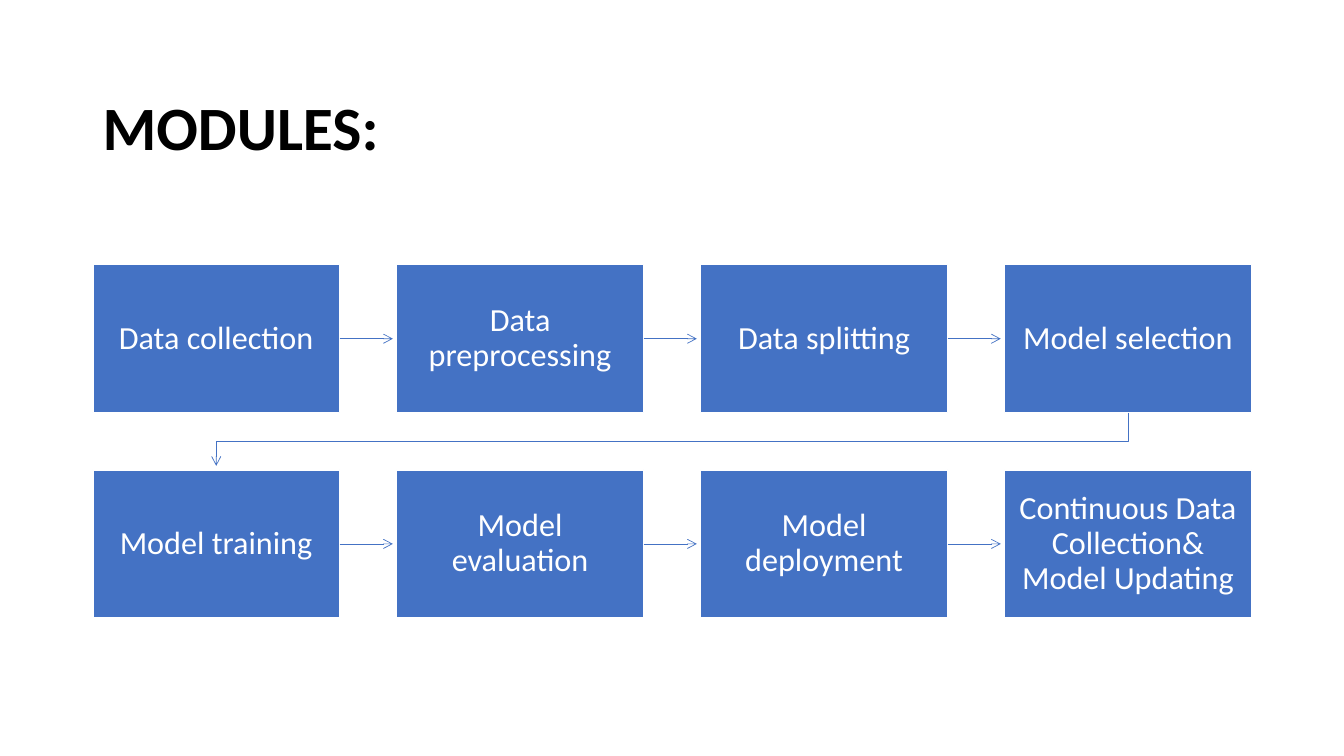
from lxml import etree
from pptx import Presentation
from pptx import util as u
from pptx.dml.color import RGBColor
from pptx.enum import shapes, text
from pptx.oxml.ns import qn

FONT = "Calibri"
BLUE, WHITE, BLACK = "4472C4", "FFFFFF", "000000"

# Grid of module boxes, in centimetres
LEFT, TOP = 2.34, 6.67
WIDTH, HEIGHT = 6.22, 3.73
STEP_X, STEP_Y = 7.66, 5.17
COLUMNS = 4
ARROW_GAP = 0.1

MODULES = [
    "Data collection", "Data preprocessing", "Data splitting", "Model selection",
    "Model training", "Model evaluation", "Model deployment",
    "Continuous Data Collection& Model Updating",
]


def colour(value):
    return RGBColor.from_string(value)


def format_text(frame, size, hex_colour, align, bold=False):
    frame.word_wrap = True
    frame.vertical_anchor = text.MSO_ANCHOR.MIDDLE
    para = frame.paragraphs[0]
    para.alignment = align
    para.line_spacing = 0.9
    for span in para.runs:
        span.font.name = FONT
        span.font.size = u.Pt(size)
        span.font.bold = bold
        span.font.color.rgb = colour(hex_colour)


def set_title(page, wording):
    title = page.shapes.title
    title.left, title.top = u.Cm(2.33), u.Cm(1.01)
    title.width, title.height = u.Cm(29.21), u.Cm(4.58)
    title.text_frame.text = wording
    format_text(title.text_frame, 44, BLACK, text.PP_ALIGN.LEFT, bold=True)


def add_module(page, x, y, wording):
    box = page.shapes.add_shape(
        shapes.MSO_SHAPE.RECTANGLE, u.Cm(x), u.Cm(y), u.Cm(WIDTH), u.Cm(HEIGHT))
    box.shadow.inherit = False
    box.fill.solid()
    box.fill.fore_color.rgb = colour(BLUE)
    box.line.color.rgb = colour(WHITE)
    box.line.width = u.Pt(1)
    frame = box.text_frame
    frame.margin_left = frame.margin_right = u.Cm(0.3)
    frame.margin_top = frame.margin_bottom = u.Cm(0.32)
    frame.text = wording
    format_text(frame, 23, WHITE, text.PP_ALIGN.CENTER)


def style_arrow(arrow):
    arrow.line.color.rgb = colour(BLUE)
    arrow.line.width = u.Pt(0.5)
    properties = arrow.line._get_or_add_ln()
    etree.SubElement(properties, qn("a:tailEnd"), type="arrow")


def add_straight_arrow(page, x, y):
    end = x + STEP_X - WIDTH - ARROW_GAP
    arrow = page.shapes.add_connector(
        shapes.MSO_CONNECTOR.STRAIGHT, u.Cm(x), u.Cm(y), u.Cm(end), u.Cm(y))
    style_arrow(arrow)
    etree.SubElement(arrow._element.spPr, qn("a:effectLst"))


def add_return_arrow(page):
    first = LEFT + WIDTH / 2
    last = first + (COLUMNS - 1) * STEP_X
    start, end = TOP + HEIGHT, TOP + STEP_Y
    middle = (start + end) / 2
    corners = [(last, middle), (first, middle), (first, end - ARROW_GAP)]
    builder = page.shapes.build_freeform(u.Cm(last), u.Cm(start))
    builder.add_line_segments([(u.Cm(x), u.Cm(y)) for x, y in corners], close=False)
    arrow = builder.convert_to_shape()
    arrow.shadow.inherit = False
    arrow.fill.background()
    style_arrow(arrow)


def main():
    deck = Presentation()
    deck.slide_width, deck.slide_height = u.Cm(33.87), u.Cm(19.05)
    page = deck.slides.add_slide(deck.slide_layouts[5])
    set_title(page, "MODULES:")

    # Modules, each followed by an arrow to the next one in its row
    for index, wording in enumerate(MODULES):
        row, column = divmod(index, COLUMNS)
        x, y = LEFT + column * STEP_X, TOP + row * STEP_Y
        add_module(page, x, y, wording)
        if column < COLUMNS - 1:
            add_straight_arrow(page, x + WIDTH, y + HEIGHT / 2)

    # Link from the end of the first row to the start of the second
    add_return_arrow(page)
    deck.save("out.pptx")


if __name__ == "__main__":
    main()
